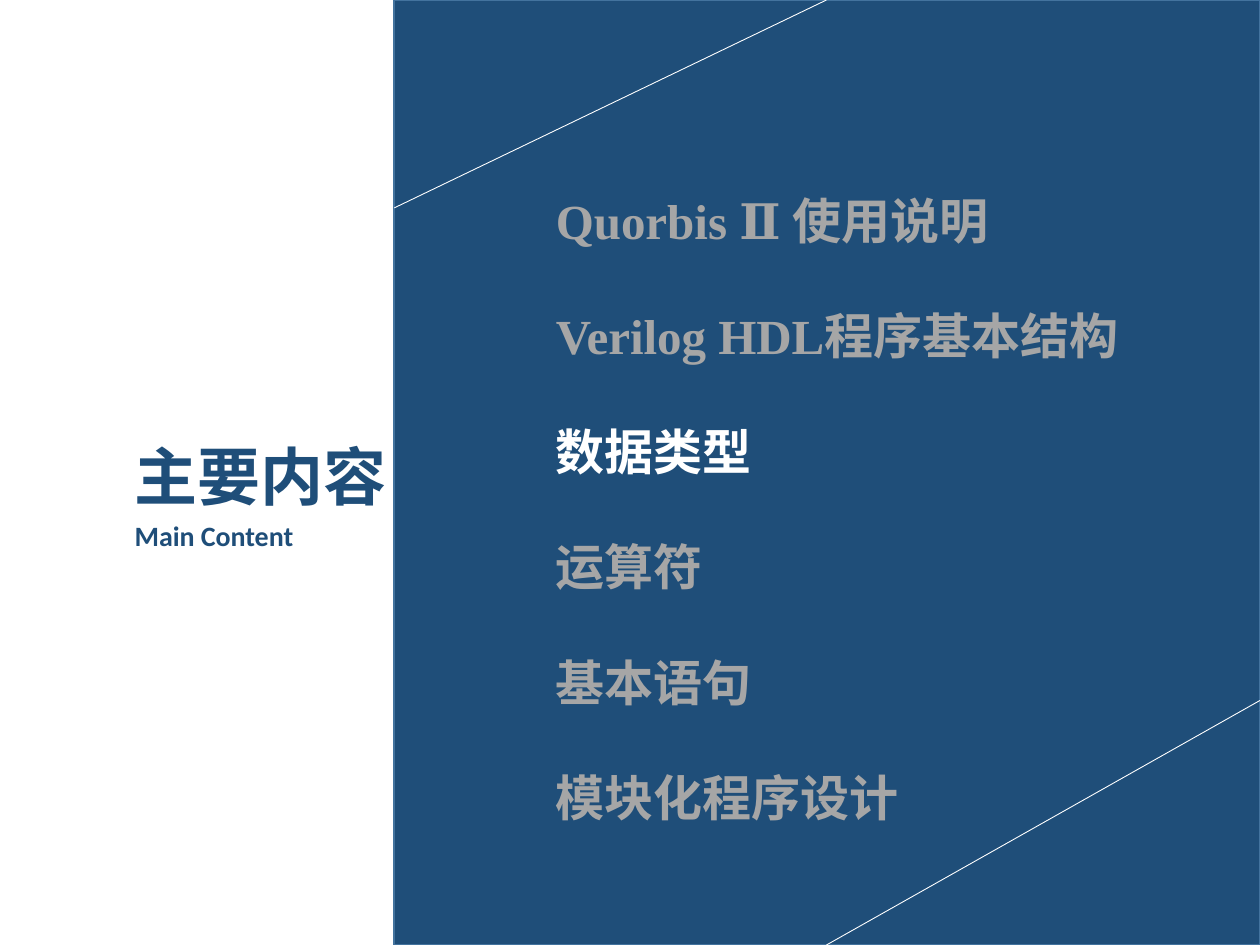
import pptx
import pptx.util
import pptx.dml.color
import pptx.enum.shapes
import pptx.enum.text
import pptx.oxml
import pptx.oxml.ns
from pptx.util import Cm

HUES = {"navy": "1F4E79", "edge": "43739E", "white": "FFFFFF", "grey": "A6A6A6"}
HAN = "Noto Sans CJK SC"
ITEMS = ["Quorbis Ⅱ 使用说明", "Verilog HDL程序基本结构", "数据类型",
         "运算符", "基本语句", "模块化程序设计"]
NOW = "数据类型"


def color(name):
    """Return the named colour."""
    return pptx.dml.color.RGBColor.from_string(HUES[name])


def node(parent, tag):
    """Append an empty DrawingML element."""
    item = pptx.oxml.parse_xml(f"<a:{tag} {pptx.oxml.ns.nsdecls('a')}/>")
    parent.append(item)
    return item


def write(para, text, size=28, font=HAN, hue="grey", gap=0, line=None):
    """Fill a paragraph with bold, left-aligned, unbulleted text."""
    props = para._p.get_or_add_pPr()
    props.set("marL", "0")
    props.set("indent", "0")
    node(props, "buNone")
    para.alignment = pptx.enum.text.PP_ALIGN.LEFT
    para.space_before = pptx.util.Pt(gap)
    if line:
        para.line_spacing = pptx.util.Pt(line)
    run = para.add_run()
    run.text = text
    run.font.size = pptx.util.Pt(size)
    run.font.bold = True
    run.font.color.rgb = color(hue)
    run.font.name = font
    node(run._r.get_or_add_rPr(), "ea").set("typeface", HAN)


def place(holder, x, y, w, h):
    """Move a placeholder and return its top-anchored text frame."""
    holder.left, holder.top, holder.width, holder.height = map(Cm, (x, y, w, h))
    frame = holder.text_frame
    frame.word_wrap = True
    frame.auto_size = pptx.enum.text.MSO_AUTO_SIZE.NONE
    frame.vertical_anchor = pptx.enum.text.MSO_ANCHOR.TOP
    return frame


def panel(slide):
    """Draw the blue panel behind the text."""
    kind = pptx.enum.shapes.MSO_SHAPE.RECTANGLE
    box = slide.shapes.add_shape(kind, Cm(7.95), 0, Cm(17.45), Cm(19.05))
    box.shadow.inherit = False
    box.fill.solid()
    box.fill.fore_color.rgb = color("navy")
    box.line.color.rgb = color("edge")
    box.line.width = pptx.util.Pt(1)
    slide.shapes.title.element.addprevious(box.element)


def stroke(slide, *ends):
    """Draw a thin white line between two points."""
    kind = pptx.enum.shapes.MSO_CONNECTOR.STRAIGHT
    rule = slide.shapes.add_connector(kind, *map(Cm, ends))
    rule.line.color.rgb = color("white")
    rule.line.width = pptx.util.Pt(0.5)
    node(rule.element.spPr, "effectLst")


def title(slide):
    """Write the heading and its English line."""
    frame = place(slide.shapes.title, 2.46, 8.56, 5.92, 2.49)
    write(frame.paragraphs[0], "主要内容", size=36, hue="navy", line=47)
    write(frame.add_paragraph(), "Main Content", size=16, font="Calibri",
          hue="navy", line=22)


def agenda(slide):
    """Write the list of topics with the current one in white."""
    frame = place(slide.placeholders[1], 10.95, 3.48, 12.78, 13.2)
    for i, text in enumerate(ITEMS):
        para = frame.add_paragraph() if i else frame.paragraphs[0]
        write(para, text, hue="white" if text == NOW else "grey",
              font="Times New Roman" if text[0].isascii() else HAN,
              gap=26 if i else 0, line=40)


def main():
    """Build and save the slide."""
    deck = pptx.Presentation()
    deck.slide_width, deck.slide_height = Cm(25.4), Cm(19.05)
    slide = deck.slides.add_slide(deck.slide_layouts[1])
    panel(slide)
    stroke(slide, 16.66, 0, 7.95, 4.19)
    stroke(slide, 25.4, 14.12, 16.66, 19.05)
    title(slide)
    agenda(slide)
    deck.save("out.pptx")


if __name__ == "__main__":
    main()
